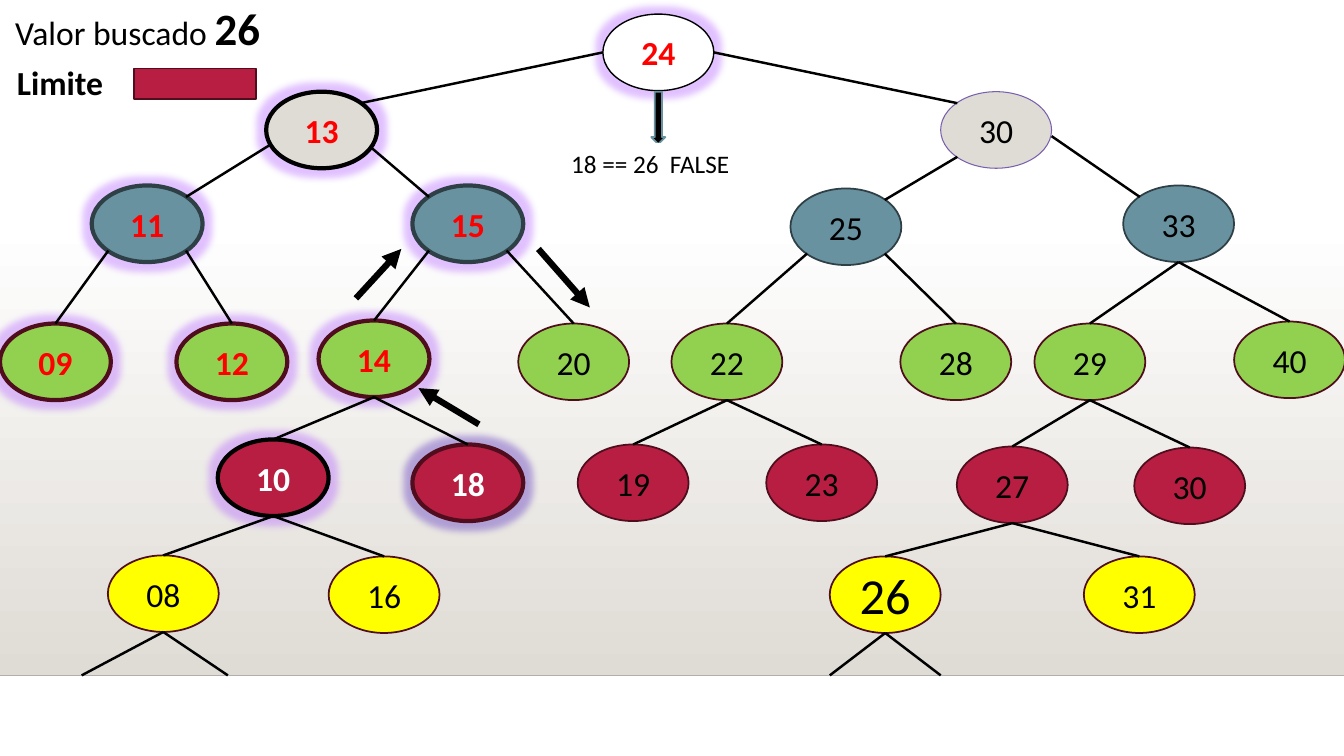
from lxml.etree import SubElement
from pptx import Presentation
from pptx.dml.color import RGBColor
from pptx.enum.shapes import MSO_CONNECTOR, MSO_SHAPE
from pptx.enum.text import MSO_ANCHOR, MSO_AUTO_SIZE, PP_ALIGN
from pptx.oxml.ns import qn
from pptx.util import Inches, Pt

BLACK = RGBColor(0x00, 0x00, 0x00)
WHITE = RGBColor(0xFF, 0xFF, 0xFF)
RED = RGBColor(0xFF, 0x00, 0x00)
SAND = RGBColor(0xDF, 0xDB, 0xD5)
HORIZON = RGBColor(0xB2, 0xAF, 0xAA)
VIOLET = RGBColor(0x79, 0x5F, 0xAF)
STEEL = RGBColor(0x68, 0x92, 0xA0)
DARK_STEEL = RGBColor(0x2E, 0x40, 0x46)
GREEN = RGBColor(0x92, 0xD0, 0x50)
CRIMSON = RGBColor(0xB7, 0x1E, 0x42)
MAROON = RGBColor(0x50, 0x0D, 0x1D)
YELLOW = RGBColor(0xFF, 0xFF, 0x00)
LILAC_GLOW = RGBColor(0xB4, 0x64, 0xFF)
INDIGO_GLOW = RGBColor(0x5A, 0x32, 0xBE)

NODE_WIDTH, NODE_HEIGHT = 1.1, 0.76
ANCHORS = {
    "left": (0, 0.5), "right": (1, 0.5), "top": (0.5, 0), "bottom": (0.5, 1),
    "top left": (0.15, 0.15), "top right": (0.85, 0.15),
    "bottom left": (0.15, 0.85), "bottom right": (0.85, 0.85),
    "low left": (0.05, 0.68), "low right": (0.94, 0.72), "right edge": (1, 0.58),
}

LEVELS = [
    (WHITE, BLACK, 1, [("24", 5.98, 0.14)]),
    (SAND, VIOLET, 0.75, [("13", 2.64, 0.91), ("30", 9.33, 0.91)]),
    (STEEL, DARK_STEEL, 1.25,
     [("11", 0.91, 1.84), ("15", 4.09, 1.84), ("25", 7.84, 1.87), ("33", 11.14, 1.84)]),
    (GREEN, MAROON, 1.25,
     [("09", 0, 3.21), ("12", 1.75, 3.21), ("14", 3.16, 3.18), ("20", 5.14, 3.21),
      ("22", 6.66, 3.21), ("28", 8.93, 3.21), ("29", 10.26, 3.21), ("40", 12.24, 3.19)]),
    (CRIMSON, MAROON, 1.25,
     [("10", 2.16, 4.36), ("18", 4.09, 4.41), ("19", 5.73, 4.41),
      ("23", 7.6, 4.41), ("27", 9.49, 4.43), ("30", 11.25, 4.44)]),
    (YELLOW, MAROON, 1.25,
     [("08", 1.07, 5.51), ("16", 3.26, 5.52), ("26", 8.23, 5.52), ("31", 10.75, 5.52)]),
]

VISITED = {"color": RED, "width": 3, "bold": True, "glow": LILAC_GLOW}
SPECIAL = {label: VISITED for label in ("11", "15", "09", "12", "14")}
SPECIAL.update({
    "24": {**VISITED, "width": 1},
    "13": {**VISITED, "outline": BLACK},
    "10": {**VISITED, "outline": BLACK, "color": WHITE},
    "18": {**VISITED, "color": WHITE, "glow": INDIGO_GLOW},
    "26": {"size": 36},
})

BRANCHES = [
    (0, "24", ("13", "left", "top right"), ("30", "right", "top left")),
    (1, "13", ("11", "low left", "top right"), ("15", "low right", "top left")),
    (1, "30", ("25", "bottom left", "top right"), ("33", "right edge", "top left")),
    (2, "11", ("09", "bottom left", "top"), ("12", "bottom right", "top")),
    (2, "15", ("14", "bottom left", "top"), ("20", "bottom right", "top")),
    (2, "25", ("22", "bottom left", "top"), ("28", "bottom right", "top")),
    (2, "33", ("29", "bottom", "top"), ("40", "bottom", "top")),
    (3, "14", ("10", "bottom", "top"), ("18", "bottom", "top")),
    (3, "22", ("19", "bottom", "top"), ("23", "bottom", "top")),
    (3, "29", ("27", "bottom", "top"), ("30", "bottom", "top")),
    (4, "10", ("08", "bottom", "top"), ("16", "bottom", "top")),
    (4, "27", ("26", "bottom", "top"), ("31", "bottom", "top")),
]
OPEN_BRANCHES = [("08", (0.81, 2.26)), ("26", (8.23, 9.33))]
STEPS = [((4.75, 4.21), (4.15, 3.85)), ((3.53, 2.96), (3.98, 2.47)),
         ((5.34, 2.47), (5.85, 3.05))]


def assign(target, values):
    for name, value in values.items():
        setattr(target, name, value)


def anchor_point(corner, anchor):
    across, down = ANCHORS[anchor]
    return corner[0] + across * NODE_WIDTH, corner[1] + down * NODE_HEIGHT


class TreePage:
    """Draws the elements of a search tree on one slide."""

    def __init__(self, deck):
        self.font = "Calibri"
        self.page = deck.slides.add_slide(deck.slide_layouts[5])

    def add_text(self, box, spans, align=PP_ALIGN.LEFT, anchor=MSO_ANCHOR.TOP, wrap=True):
        assign(box.text_frame, {"word_wrap": wrap, "auto_size": MSO_AUTO_SIZE.NONE,
                                "vertical_anchor": anchor})
        para = box.text_frame.paragraphs[0]
        para.alignment = align
        for text, size, bold, color in spans:
            span = para.add_run()
            span.text = text
            assign(span.font, {"name": self.font, "size": Pt(size), "bold": bold})
            span.font.color.rgb = color

    def title(self, bounds, spans):
        box = self.page.shapes.title
        assign(box, dict(zip(("left", "top", "width", "height"), map(Inches, bounds))))
        self.add_text(box, spans)

    def label(self, bounds, spans):
        self.add_text(self.page.shapes.add_textbox(*map(Inches, bounds)), spans, wrap=False)

    def shape(self, kind, bounds, fill=None, outline=None, width=1.25):
        shape = self.page.shapes.add_shape(kind, *map(Inches, bounds))
        shape.shadow.inherit = False
        if fill is not None:
            shape.fill.solid()
            shape.fill.fore_color.rgb = fill
        if outline is None:
            shape.line.fill.background()
        else:
            shape.line.color.rgb = outline
            shape.line.width = Pt(width)
        return shape

    def backdrop(self, bounds):
        ground = self.shape(MSO_SHAPE.RECTANGLE, bounds)
        ground.fill.gradient()
        ground.fill.gradient_angle = 270
        for stop, color in zip(ground.fill.gradient_stops, (WHITE, SAND)):
            stop.color.rgb = color

    def node(self, label, corner, fill, outline, width, color=BLACK, bold=False,
             size=24, glow=None):
        bounds = (*corner, NODE_WIDTH, NODE_HEIGHT)
        oval = self.shape(MSO_SHAPE.OVAL, bounds, fill, outline, width)
        self.add_text(oval, [(label, size, bold, color)], PP_ALIGN.CENTER, MSO_ANCHOR.MIDDLE)
        if glow is not None:
            effects = oval._element.spPr.find(qn("a:effectLst"))
            halo = SubElement(effects, qn("a:glow"), rad=str(Inches(0.14)))
            tint = SubElement(halo, qn("a:srgbClr"), val=str(glow))
            SubElement(tint, qn("a:alpha"), val="40000")

    def line(self, start, end, color=BLACK, width=1.75, arrow=False):
        line = self.page.shapes.add_connector(
            MSO_CONNECTOR.STRAIGHT, *map(Inches, (*start, *end)))
        line.line.color.rgb = color
        line.line.width = Pt(width)
        properties = line._element.spPr
        if arrow:
            SubElement(properties.find(qn("a:ln")), qn("a:tailEnd"), type="triangle")
        SubElement(properties, qn("a:effectLst"))


def main():
    deck = Presentation()
    assign(deck, {"slide_width": Inches(13.33), "slide_height": Inches(7.5)})
    tree = TreePage(deck)
    tree.backdrop((0, 2.21, 13.33, 4.49))
    tree.line((0, 6.7), (13.33, 6.7), HORIZON, 1)

    corners = {}
    for level, (fill, outline, width, nodes) in enumerate(LEVELS):
        for label, left, top in nodes:
            corners[level, label] = (left, top)
            style = {"fill": fill, "outline": outline, "width": width}
            tree.node(label, (left, top), **{**style, **SPECIAL.get(label, {})})

    for level, parent, *children in BRANCHES:
        for child, start, end in children:
            tree.line(anchor_point(corners[level, parent], start),
                      anchor_point(corners[level + 1, child], end))
    for parent, ends in OPEN_BRANCHES:
        for end in ends:
            tree.line(anchor_point(corners[5, parent], "bottom"), (end, 6.7))

    tree.title((0.05, -0.04, 3.12, 0.64),
               [("Valor buscado ", 24, False, BLACK), ("26", 32, True, BLACK)])
    tree.label((0.07, 0.57, 1.25, 0.5), [("Limite", 24, True, BLACK)])
    tree.shape(MSO_SHAPE.RECTANGLE, (1.33, 0.68, 1.21, 0.3), CRIMSON, MAROON)
    tree.shape(MSO_SHAPE.DOWN_ARROW, (6.46, 0.91, 0.14, 0.52), BLACK, STEEL)
    result = tree.shape(MSO_SHAPE.RECTANGLE, (5.51, 1.42, 2.03, 0.4), WHITE)
    tree.add_text(result, [(" 18 == 26  FALSE", 18, False, BLACK)], wrap=False)
    for start, end in STEPS:
        tree.line(start, end, width=4.5, arrow=True)
    deck.save("out.pptx")


if __name__ == "__main__":
    main()
